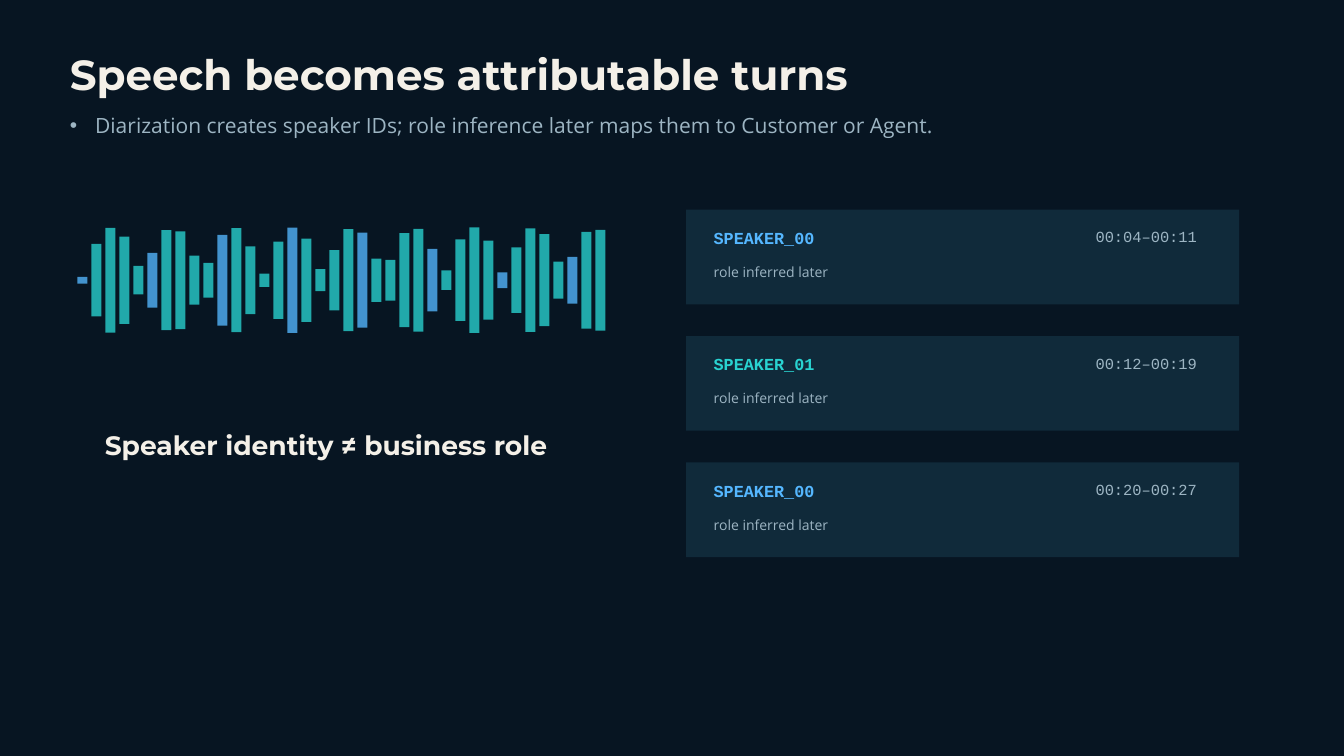
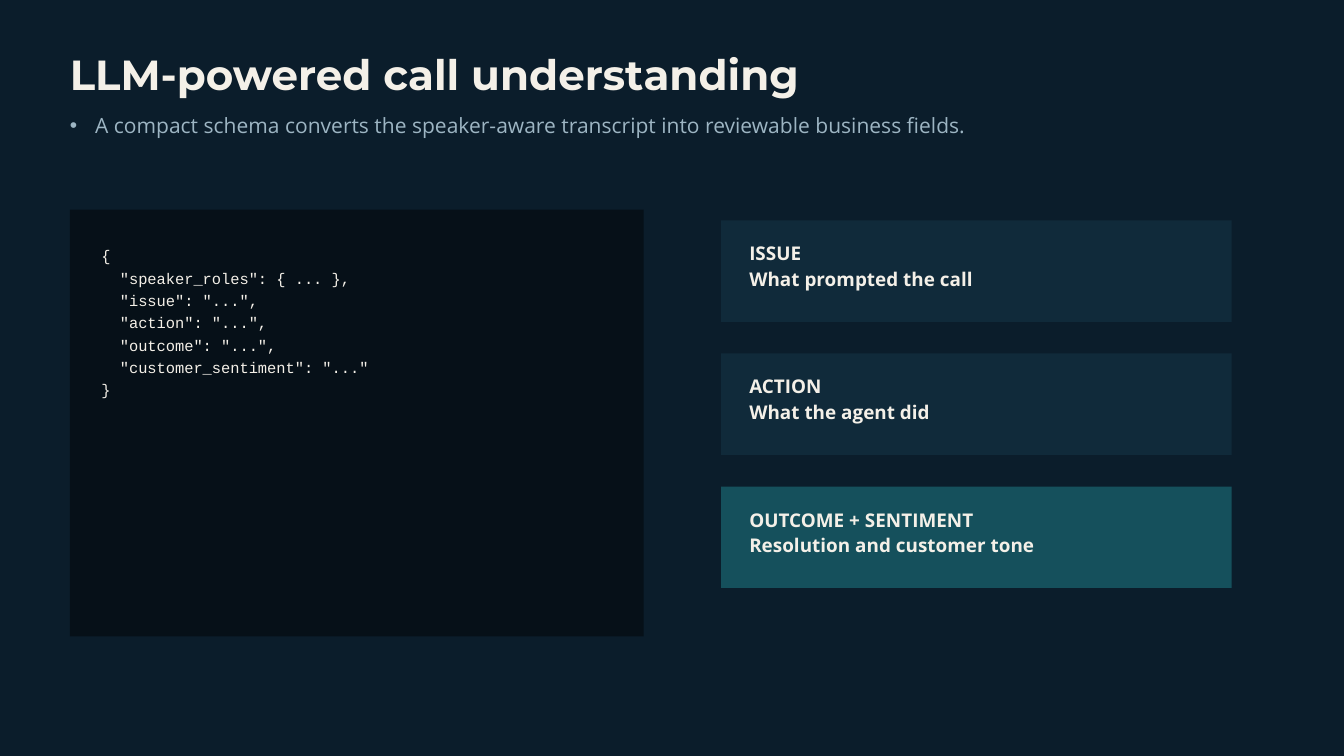
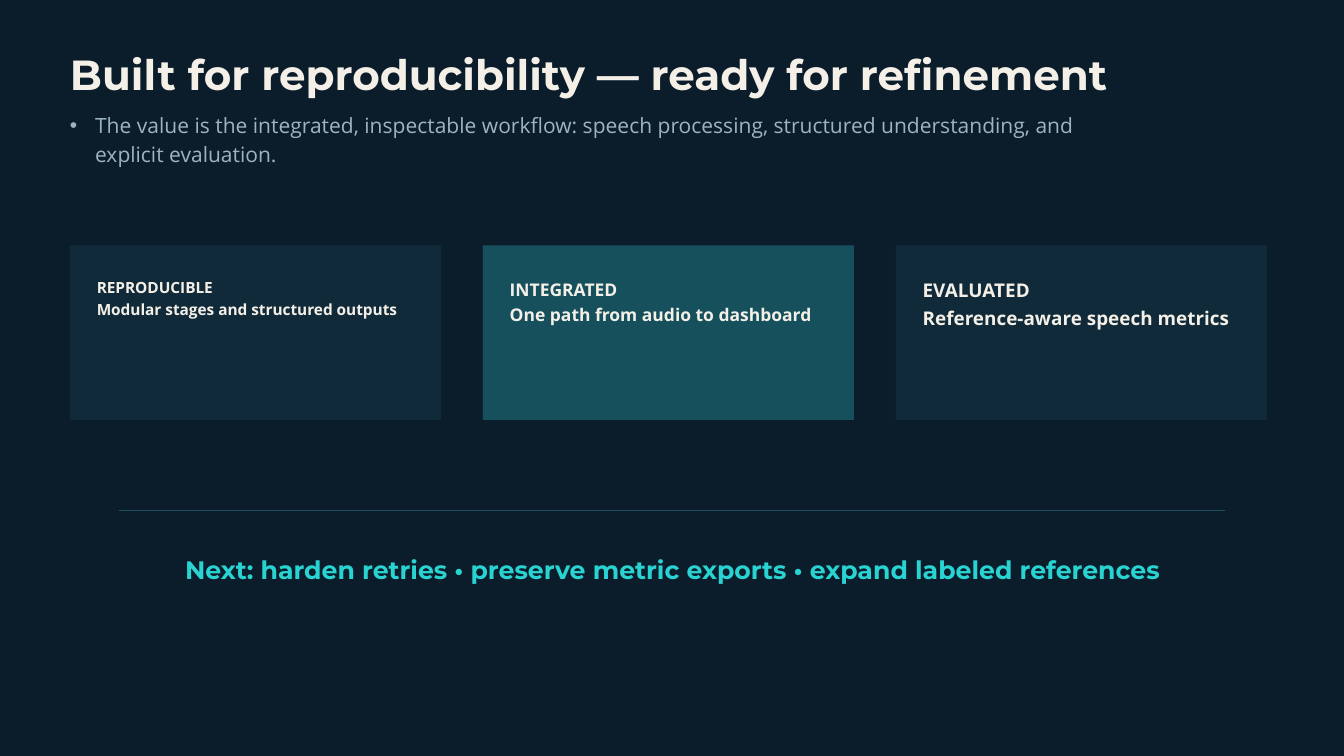
import math
from dataclasses import dataclass, replace

from lxml import etree
from pptx import Presentation
from pptx import slide as sl
from pptx import util as u
from pptx.dml import color as col
from pptx.enum import shapes as es
from pptx.enum import text as et
from pptx.oxml import ns
from pptx.shapes import autoshape as auto
from pptx.shapes import shapetree as tree
from pptx.text import text as tx

Shapes = tree.SlideShapes | tree.GroupShapes
RGB = col.RGBColor.from_string


@dataclass(frozen=True)
class Style:
    size: float
    lead: float  # line height in points
    face: str
    tint: RGB
    bold: bool = False
    align: et.PP_ALIGN = et.PP_ALIGN.LEFT


@dataclass(frozen=True)
class Box:
    left: float
    top: float
    width: float
    height: float

    def place(self) -> tuple[u.Length, ...]:
        return tuple(u.Inches(v) for v in (self.left, self.top, self.width, self.height))


class Theme:
    night, navy, black = RGB("071522"), RGB("0B1D2B"), RGB("061018")
    panel, accent, rule = RGB("102A3A"), RGB("15505C"), RGB("245064")
    cream, mist, blue, teal = RGB("F4F0E8"), RGB("9DB5C3"), RGB("55B7FF"), RGB("29D3D1")
    head, body, mono = "Montserrat", "Open Sans", "Courier New"

    title = Style(45, 48.6, head, cream, True)
    lede = Style(22.5, 30.4, body, mist)
    claim = Style(28.5, 39.9, head, cream, True)
    next = Style(27, 37.8, head, teal, True, et.PP_ALIGN.CENTER)
    voice = Style(18, 25.2, mono, blue, True)
    time = Style(16.5, 23.1, mono, mist, align=et.PP_ALIGN.RIGHT)
    note = Style(15, 19.5, body, mist)
    code = Style(16.5, 23.9, mono, cream)
    field = Style(20.25, 27.3, body, cream, True)


@dataclass(frozen=True)
class Turn:
    voice: str
    time: str
    tint: RGB


@dataclass(frozen=True)
class Card:
    label: str
    text: str
    fill: RGB
    style: Style


TURNS = (
    Turn("SPEAKER_00", "00:04–00:11", Theme.blue),
    Turn("SPEAKER_01", "00:12–00:19", Theme.teal),
    Turn("SPEAKER_00", "00:20–00:27", Theme.blue),
)
FIELDS = (
    Card("ISSUE", "What prompted the call", Theme.panel, Theme.field),
    Card("ACTION", "What the agent did", Theme.panel, Theme.field),
    Card("OUTCOME + SENTIMENT", "Resolution and customer tone", Theme.accent, Theme.field),
)
MERITS = (
    Card("REPRODUCIBLE", "Modular stages and structured outputs", Theme.panel,
         replace(Theme.field, size=16.5, lead=23.9)),
    Card("INTEGRATED", "One path from audio to dashboard", Theme.accent,
         replace(Theme.field, size=18.75, lead=27.2)),
    Card("EVALUATED", "Reference-aware speech metrics", Theme.panel,
         replace(Theme.field, lead=29.4)),
)
SCHEMA = """{
  "speaker_roles": { ... },
  "issue": "...",
  "action": "...",
  "outcome": "...",
  "customer_sentiment": "..."
}"""


def write(frame: tx.TextFrame, text: str, style: Style) -> None:
    frame.word_wrap = True
    frame.auto_size = et.MSO_AUTO_SIZE.NONE
    frame.vertical_anchor = et.MSO_ANCHOR.TOP
    frame.margin_left = frame.margin_top = frame.margin_right = frame.margin_bottom = 0
    frame.text = text
    for para in frame.paragraphs:
        para.alignment = style.align
        para.line_spacing = u.Pt(style.lead)
        para.space_before = u.Pt(0)
        font = para.font
        font.size, font.name, font.bold = u.Pt(style.size), style.face, style.bold
        font.color.rgb = style.tint


def label(shapes: Shapes, box: Box, text: str, style: Style) -> None:
    write(shapes.add_textbox(*box.place()).text_frame, text, style)


def block(shapes: Shapes, box: Box, fill: RGB) -> auto.Shape:
    shape = shapes.add_shape(es.MSO_SHAPE.RECTANGLE, *box.place())
    shape.shadow.inherit = False
    shape.fill.solid()
    shape.fill.fore_color.rgb = fill
    shape.line.fill.background()
    return shape


def fade(shape: auto.Shape, share: int) -> None:
    """Make the solid fill opaque by this many percent."""
    tint = shape.fill._xPr.find(".//" + ns.qn("a:srgbClr"))
    etree.SubElement(tint, ns.qn("a:alpha"), val=str(share * 1000))


def start(deck: Presentation, title: str, lede: str, back: RGB) -> sl.Slide:
    """Add a slide with its background, title and lede."""
    slide = deck.slides.add_slide(deck.slide_layouts[1])
    slide.background.fill.solid()
    slide.background.fill.fore_color.rgb = back
    body = slide.placeholders[1]
    for holder, box in ((slide.shapes.title, Box(1.04, 0.79, 15.62, 0.68)),
                        (body, Box(1.04, 1.63, 15.1, 0.82))):
        holder.left, holder.top, holder.width, holder.height = box.place()
    para = body.text_frame.paragraphs[0]
    props = para._p.get_or_add_pPr()
    props.set("marL", "0")
    props.set("indent", "0")
    etree.SubElement(props, ns.qn("a:buNone"))
    write(slide.shapes.title.text_frame, title, Theme.title)
    write(body.text_frame, lede, Theme.lede)
    return slide


def wave(slide: sl.Slide) -> None:
    group = slide.shapes.add_group_shape().shapes
    count, left, span, middle = 38, 1.15, 7.71, 4.17
    for i in range(count):
        height = 0.1 + 1.47 * abs(math.sin(0.73 * i))
        box = Box(left + span * i / (count - 1), middle - height / 2, 0.15, height)
        fade(block(group, box, Theme.teal if i % 5 else Theme.blue), 78)


def turn(slide: sl.Slide, item: Turn, top: float) -> None:
    group = slide.shapes.add_group_shape().shapes
    block(group, Box(10.21, top, 8.23, 1.41), Theme.panel)
    label(group, Box(10.62, top + 0.22, 2.71, 0.33), item.voice,
          replace(Theme.voice, tint=item.tint))
    label(group, Box(15.1, top + 0.22, 2.71, 0.3), item.time, Theme.time)
    label(group, Box(10.62, top + 0.78, 4.38, 0.26), "role inferred later", Theme.note)


def card(slide: sl.Slide, item: Card, box: Box, inset: Box) -> None:
    """Draw a filled card; the inset is its text area, measured from its corner."""
    group = slide.shapes.add_group_shape().shapes
    block(group, box, item.fill)
    area = replace(inset, left=box.left + inset.left, top=box.top + inset.top)
    label(group, area, f"{item.label}\n{item.text}", item.style)


def speech(deck: Presentation) -> None:
    slide = start(deck, "Speech becomes attributable turns",
                  "Diarization creates speaker IDs; role inference later maps them "
                  "to Customer or Agent.", Theme.night)
    wave(slide)
    for i, item in enumerate(TURNS):
        turn(slide, item, 3.12 + 1.88 * i)
    label(slide.shapes, Box(1.56, 6.3, 6.77, 0.53), "Speaker identity ≠ business role",
          Theme.claim)


def schema(deck: Presentation) -> None:
    slide = start(deck, "LLM-powered call understanding",
                  "A compact schema converts the speaker-aware transcript into "
                  "reviewable business fields.", Theme.navy)
    group = slide.shapes.add_group_shape().shapes
    block(group, Box(1.04, 3.12, 8.54, 6.35), Theme.black)
    label(group, Box(1.51, 3.61, 7.6, 2.23), SCHEMA, Theme.code)
    for i, item in enumerate(FIELDS):
        card(slide, item, Box(10.73, 3.28 + 1.98 * i, 7.6, 1.51),
             Box(0.42, 0.28, 6.67, 0.74))


def close(deck: Presentation) -> None:
    slide = start(deck, "Built for reproducibility — ready for refinement",
                  "The value is the integrated, inspectable workflow: speech processing, "
                  "structured understanding, and explicit evaluation.", Theme.navy)
    width, gap = 5.52, 0.625
    for i, item in enumerate(MERITS):
        card(slide, item, Box(1.04 + (width + gap) * i, 3.65, width, 2.6),
             Box(0.4, 0.43, 4.69, 0.79))
    rule = slide.shapes.add_connector(es.MSO_CONNECTOR.STRAIGHT, u.Inches(1.77),
                                      u.Inches(7.6), u.Inches(18.23), u.Inches(7.6))
    rule.line.color.rgb, rule.line.width = Theme.rule, u.Pt(1.5)
    etree.SubElement(rule._element.spPr, ns.qn("a:effectLst"))
    label(slide.shapes, Box(2.4, 8.18, 15.21, 0.5),
          "Next: harden retries • preserve metric exports • expand labeled references",
          Theme.next)


def main() -> None:
    deck = Presentation()
    deck.slide_width, deck.slide_height = u.Inches(20), u.Inches(11.25)
    for build in (speech, schema, close):
        build(deck)
    deck.save("out.pptx")


if __name__ == "__main__":
    main()
